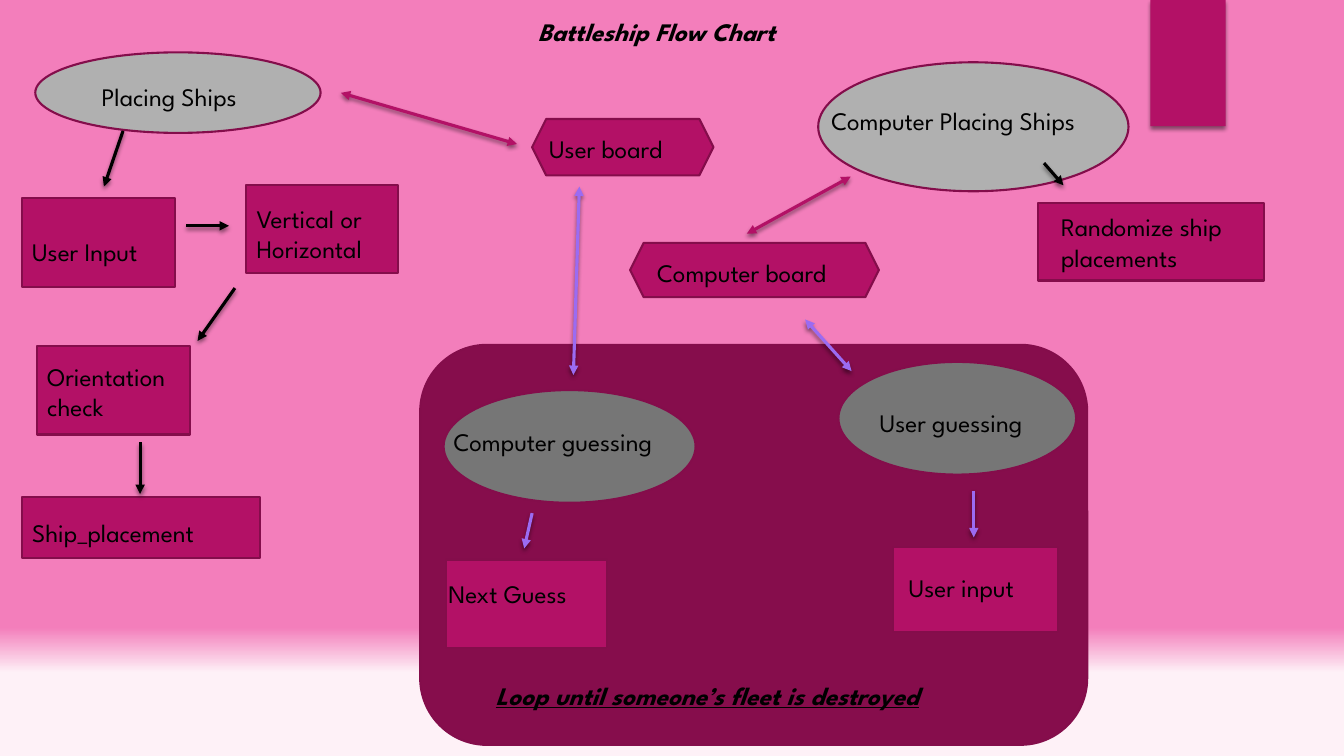
import pptx
import pptx.dml.color
import pptx.enum.shapes
import pptx.enum.text
import pptx.oxml
import pptx.oxml.ns
import pptx.util
from pptx.util import Cm

SHAPE = pptx.enum.shapes.MSO_SHAPE
FONT = "League Spartan"
MAGENTA, PLUM, PANEL = "B31166", "840D4B", "860D4C"
LIGHT_GREY, DARK_GREY = "B0B0B0", "767676"
BLACK, VIOLET = "000000", "9B6BF2"
ONE_LINE, TWO_LINES = 1.02, 1.8
SHADOW = (
    '<a:effectLst %s><a:outerShdw blurRad="38100" dist="25400" dir="5400000" '
    'rotWithShape="0"><a:srgbClr val="000000"><a:alpha val="45000"/></a:srgbClr>'
    "</a:outerShdw></a:effectLst>" % pptx.oxml.ns.nsdecls("a")
)


def color(hex_string):
    return pptx.dml.color.RGBColor.from_string(hex_string)


def add_shadow(shape):
    properties = shape._element.spPr
    for effects in properties.findall(pptx.oxml.ns.qn("a:effectLst")):
        properties.remove(effects)
    properties.append(pptx.oxml.parse_xml(SHADOW))


def add_outline(slide, kind, box, fill, line=PLUM):
    outline = slide.shapes.add_shape(kind, *map(Cm, box))
    outline.shadow.inherit = False
    outline.fill.solid()
    outline.fill.fore_color.rgb = color(fill)
    if line:
        outline.line.color.rgb = color(line)
        outline.line.width = pptx.util.Pt(1.5)
    else:
        outline.line.fill.background()
    return outline


def add_label(slide, text, box, centered=False, bold=False, underline=False):
    """Black 18 pt text; bold labels are italic too."""
    frame = slide.shapes.add_textbox(*map(Cm, box)).text_frame
    frame.word_wrap = True
    frame.auto_size = pptx.enum.text.MSO_AUTO_SIZE.SHAPE_TO_FIT_TEXT
    frame.text = text
    paragraph = frame.paragraphs[0]
    if centered:
        paragraph.alignment = pptx.enum.text.PP_ALIGN.CENTER
    font = paragraph.runs[0].font
    font.name, font.size = FONT, pptx.util.Pt(18)
    font.color.rgb = color(BLACK)
    font.bold = font.italic = bold
    font.underline = underline


def add_node(slide, region, kind, fill, box, text, label):
    """Place a node in its region, with its label (dx, dy, width, height) in the node."""
    left, top = region[0] + box[0], region[1] + box[1]
    add_outline(slide, kind, (left, top, *box[2:]), fill)
    add_label(slide, text, (left + label[0], top + label[1], *label[2:]))


def add_arrow(slide, region, start, end, hue, both_ends=False):
    points = [Cm(origin + offset) for point in (start, end)
              for origin, offset in zip(region[:2], point)]
    arrow = slide.shapes.add_connector(
        pptx.enum.shapes.MSO_CONNECTOR.STRAIGHT, *points)
    arrow.line.color.rgb = color(hue)
    arrow.line.width = pptx.util.Pt(2.25)
    for tag in ("headEnd", "tailEnd") if both_ends else ("tailEnd",):
        arrow.line._get_or_add_ln().append(pptx.oxml.parse_xml(
            '<a:%s %s type="triangle"/>' % (tag, pptx.oxml.ns.nsdecls("a"))))
    add_shadow(arrow)


def paint_background(slide):
    fill = slide.background.fill
    fill.gradient()
    fill.gradient_angle = 270
    for stop, position, hue in zip(
            fill.gradient_stops, (0.83, 0.89), ("F37EBB", "FEF1F7")):
        stop.position = position
        stop.color.rgb = color(hue)


def draw_header(slide, box):
    left, top, width, _ = box
    add_shadow(add_outline(
        slide, SHAPE.RECTANGLE, (left + width - 4.88, top, 1.9, 3.18), MAGENTA, None))
    add_label(slide, "Battleship Flow Chart", (left + 11.02, top + 0.28, 11.05, ONE_LINE),
              centered=True, bold=True)


def draw_guessing_loop(slide, box):
    add_outline(slide, SHAPE.ROUNDED_RECTANGLE, box, PANEL)
    for kind, fill, node, text, label in (
        (SHAPE.OVAL, DARK_GREY, (0.59, 1.14, 6.35, 2.84), "Computer guessing", (0, 0.79, 6.71)),
        (SHAPE.OVAL, DARK_GREY, (10.54, 0.43, 5.99, 2.84), "User guessing", (0.79, 1.02, 4.78)),
        (SHAPE.RECTANGLE, MAGENTA, (11.91, 5.1, 4.17, 2.13), "User input", (0.15, 0.51, 4.78)),
        (SHAPE.RECTANGLE, MAGENTA, (0.66, 5.41, 4.06, 2.24), "Next Guess", (-0.2, 0.36, 4.32)),
    ):
        add_node(slide, box, kind, fill, node, text, (*label, ONE_LINE))
    add_label(slide, "Loop until someone’s fleet is destroyed",
              (box[0] + 1.65, box[1] + 8.33, 13.13, ONE_LINE), bold=True, underline=True)
    add_arrow(slide, box, (2.82, 4.24), (2.62, 5.13), VIOLET)
    add_arrow(slide, box, (13.95, 3.68), (13.95, 4.85), VIOLET)


def draw_user_setup(slide, box):
    add_node(slide, box, SHAPE.OVAL, LIGHT_GREY, (0.33, 0, 7.19, 2.03),
             "Placing Ships", (1.42, 0.61, 4.78, ONE_LINE))
    for node, text, label in (
        ((0, 3.68, 3.86, 2.24), "User Input", (0, 0.82, 4.11, ONE_LINE)),
        ((5.64, 3.35, 3.84, 2.21), "Vertical or Horizontal", (0.02, 0.33, 3.81, TWO_LINES)),
        ((0.38, 7.39, 3.86, 2.24), "Orientation check", (0, 0.26, 4.7, TWO_LINES)),
        ((0, 11.2, 5.99, 1.55), "Ship_placement", (0, 0.38, 5.99, ONE_LINE)),
    ):
        add_node(slide, box, SHAPE.RECTANGLE, MAGENTA, node, text, label)
    for start, end in (
        ((2.54, 1.98), (2.06, 3.38)),
        ((4.14, 4.37), (5.21, 4.37)),
        ((5.36, 5.94), (4.42, 7.27)),
        ((2.97, 9.83), (2.97, 11.13)),
    ):
        add_arrow(slide, box, start, end, BLACK)


def draw_computer_setup(slide, box):
    add_node(slide, box, SHAPE.OVAL, LIGHT_GREY, (0, 0, 7.82, 3.25),
             "Computer Placing Ships", (0.08, 0.97, 8.31, ONE_LINE))
    add_node(slide, box, SHAPE.RECTANGLE, MAGENTA, (5.54, 3.54, 5.69, 1.96),
             "Randomize ship placements", (0.33, 0.1, 6.45, TWO_LINES))
    add_arrow(slide, box, (5.69, 2.54), (6.18, 3.1), BLACK)


def draw_boards(slide, box):
    """Draw both boards and the two-way arrows to setup and guessing."""
    add_node(slide, box, SHAPE.HEXAGON, MAGENTA, (0, 0, 4.57, 1.42),
             "User board", (0.18, 0.23, 4.78, ONE_LINE))
    add_node(slide, box, SHAPE.HEXAGON, MAGENTA, (2.47, 3.12, 6.27, 1.37),
             "Computer board", (0.43, 0.23, 6.27, ONE_LINE))
    for start, end, hue in (
        ((-0.38, 0.63), (-4.82, -0.66), MAGENTA),
        ((8.03, 1.45), (5.41, 2.89), MAGENTA),
        ((1.04, 6.45), (1.19, 1.7), VIOLET),
        ((8.05, 6.35), (6.88, 5.05), VIOLET),
    ):
        add_arrow(slide, box, start, end, hue, both_ends=True)


def main():
    deck = pptx.Presentation()
    deck.slide_width, deck.slide_height = Cm(33.87), Cm(19.05)
    slide = deck.slides.add_slide(deck.slide_layouts[6])
    paint_background(slide)
    draw_header(slide, (0, 0, 33.87, 3.18))
    draw_guessing_loop(slide, (10.59, 8.69, 16.81, 10.08))
    draw_user_setup(slide, (0.56, 1.32, 9.48, 12.75))
    draw_computer_setup(slide, (20.62, 1.57, 11.23, 5.5))
    draw_boards(slide, (13.41, 3, 8.74, 4.49))
    deck.save("out.pptx")


if __name__ == "__main__":
    main()
